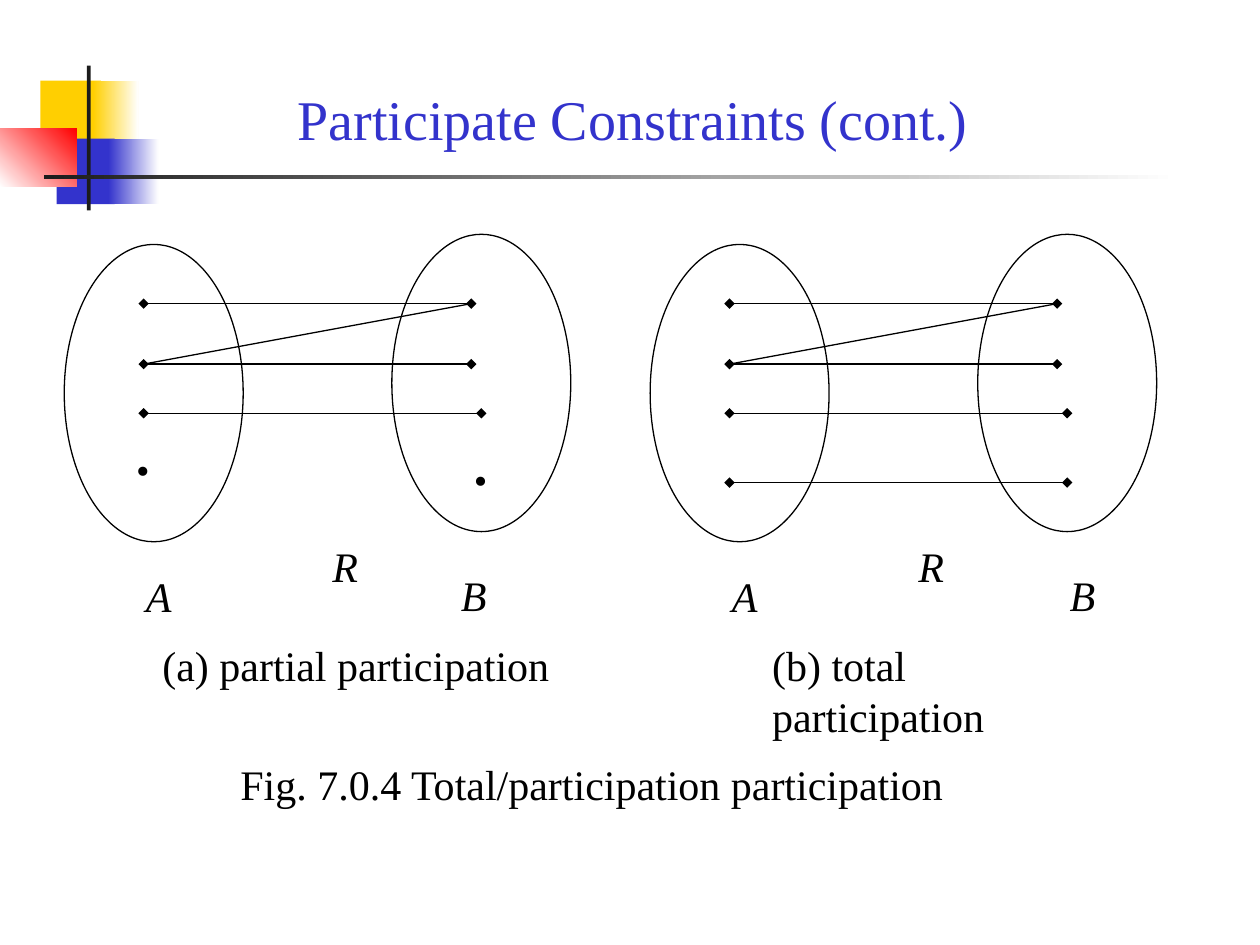
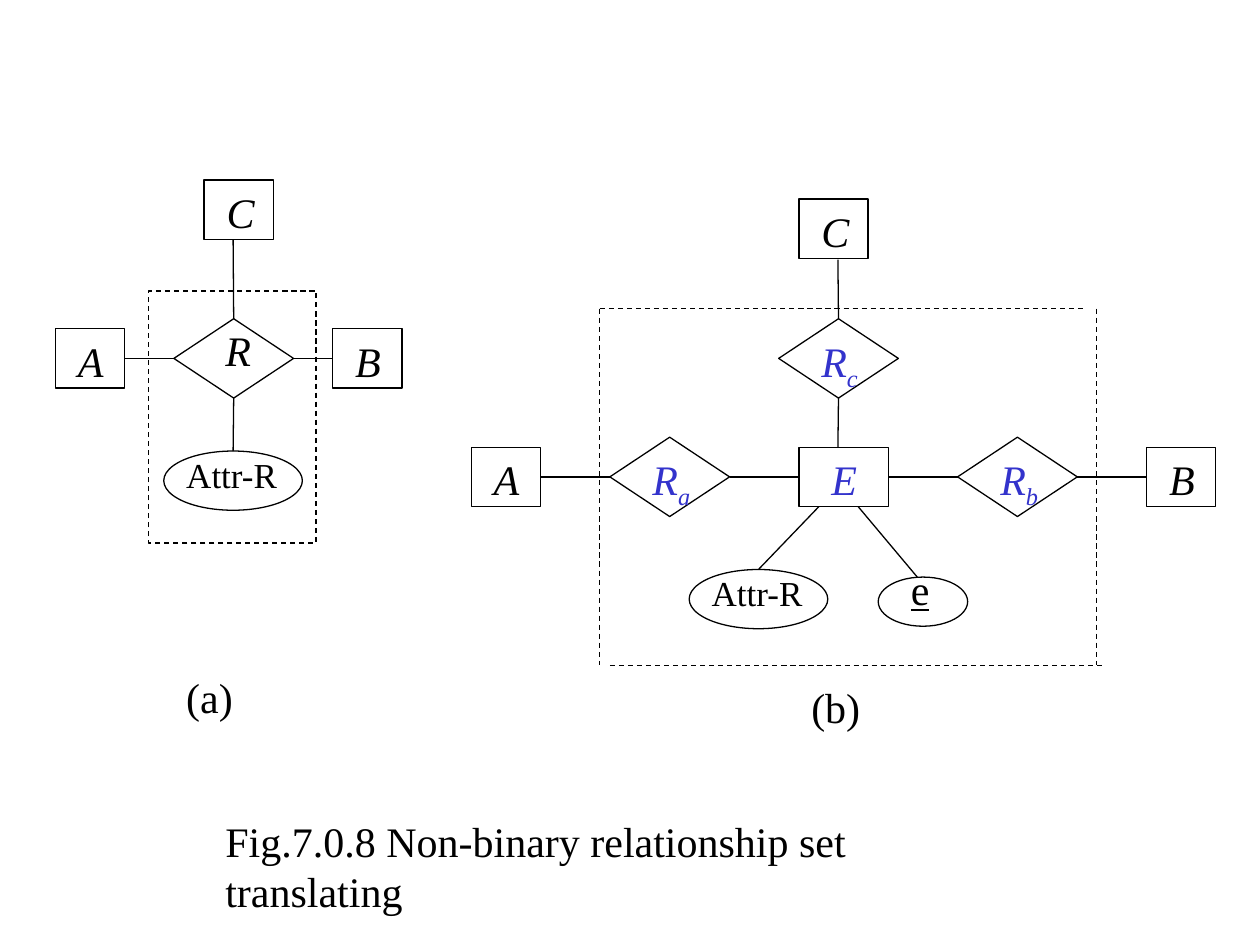
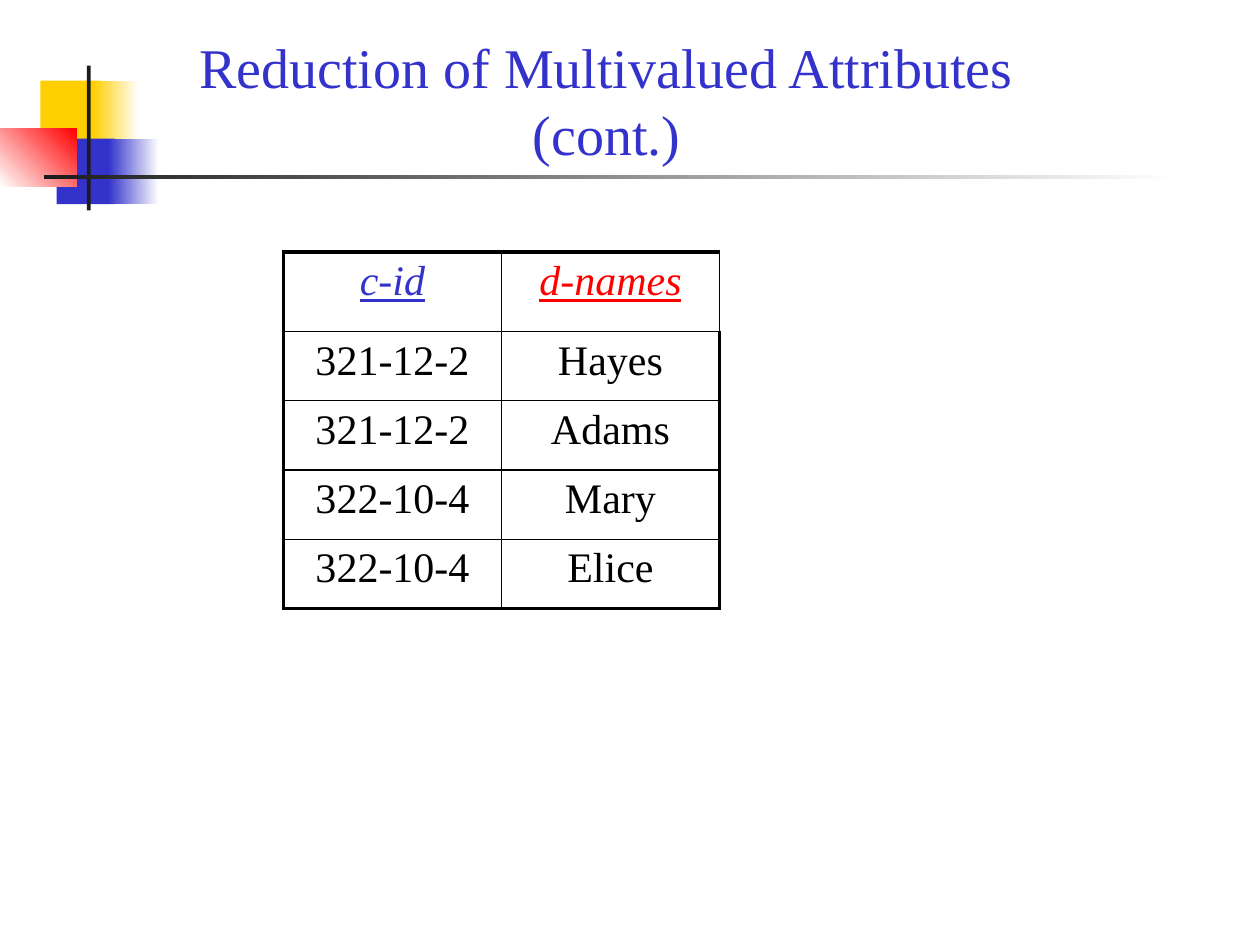
from lxml import etree
from pptx import Presentation
from pptx import util as u
from pptx.dml.color import RGBColor
from pptx.enum import dml, shapes, text
from pptx.oxml.ns import qn

FONT = "Times New Roman"
BLACK = RGBColor(0x00, 0x00, 0x00)
WHITE = RGBColor(0xFF, 0xFF, 0xFF)
BLUE = RGBColor(0x33, 0x33, 0xCC)
RED = RGBColor(0xFF, 0x00, 0x00)
GOLD = RGBColor(0xFF, 0xCF, 0x01)
CHARCOAL = RGBColor(0x1C, 0x1C, 0x1C)
RECT = shapes.MSO_SHAPE.RECTANGLE
OVAL = shapes.MSO_SHAPE.OVAL
DIAMOND = shapes.MSO_SHAPE.DIAMOND
CENTER = text.PP_ALIGN.CENTER
TOP, LEFT, BOTTOM, RIGHT = range(4)


def inches(*values):
    """Convert numbers to a list of lengths."""
    return [u.Inches(v) for v in values]


def write(p, words, size=24, color=BLACK, bold=False, italic=False, underline=False, sub=False):
    """Add one formatted run to a paragraph."""
    r = p.add_run()
    r.text = words
    f = r.font
    f.name, f.size, f.color.rgb = FONT, u.Pt(size), color
    f.bold, f.italic, f.underline = bold, italic, underline
    if sub:
        r._r.get_or_add_rPr().set("baseline", "-25000")


def label(slide, words, x, y, w, h=0.5, sub="", align=None, anchor=text.MSO_ANCHOR.TOP,
          right=0, **style):
    """Place a text box, with an optional subscript after its words."""
    tf = slide.shapes.add_textbox(*inches(x, y, w, h)).text_frame
    tf.word_wrap = True
    tf.vertical_anchor = anchor
    tf.margin_right = u.Inches(right)
    p = tf.paragraphs[0]
    p.alignment = align
    write(p, words, **style)
    if sub:
        write(p, sub, sub=True, **style)


def title(slide, words, x, y, w, h, **style):
    """Place a slide title."""
    label(slide, words, x, y, w, h, align=CENTER, right=0.1, size=32, color=BLUE, **style)


def outline(slide, kind, x, y, w, h, dash=False):
    """Draw an unfilled shape with a thin black line."""
    sp = slide.shapes.add_shape(kind, *inches(x, y, w, h))
    sp.shadow.inherit = False
    sp.fill.background()
    sp.line.color.rgb, sp.line.width = BLACK, u.Pt(0.75)
    if dash:
        sp.line.dash_style = dml.MSO_LINE.DASH
    return sp


def line(slide, x1, y1, x2, y2, dash=False, diamonds=False):
    """Draw a thin straight line, optionally dashed or with diamond ends."""
    con = slide.shapes.add_connector(shapes.MSO_CONNECTOR.STRAIGHT, *inches(x1, y1, x2, y2))
    con.line.color.rgb, con.line.width = BLACK, u.Pt(0.75)
    if dash:
        con.line.dash_style = dml.MSO_LINE.DASH
    props = con.element.spPr
    if diamonds:
        for tag in ("a:headEnd", "a:tailEnd"):
            etree.SubElement(props.find(qn("a:ln")), qn(tag), type="diamond")
    etree.SubElement(props, qn("a:effectLst"))
    return con


def join(slide, a, a_side, b, b_side):
    """Connect the sides of two shapes."""
    con = line(slide, 0, 0, 0, 0)
    con.begin_connect(a, a_side)
    con.end_connect(b, b_side)


def block(slide, x, y, w, h, color, end=None, angle=0):
    """Draw a borderless block in one colour or a gradient."""
    sp = slide.shapes.add_shape(RECT, *inches(x, y, w, h))
    sp.shadow.inherit = False
    sp.line.fill.background()
    if end is None:
        sp.fill.solid()
        sp.fill.fore_color.rgb = color
        return
    sp.fill.gradient()
    sp.fill.gradient_angle = angle
    for stop, stop_color in zip(sp.fill.gradient_stops, (color, end)):
        stop.color.rgb = stop_color


def decorate(slide):
    """Draw the coloured blocks and rule beside a title."""
    block(slide, 0.32, 0.64, 0.48, 0.52, GOLD)
    block(slide, 0.74, 0.64, 0.36, 0.52, GOLD, WHITE)
    block(slide, 0.45, 1.1, 0.46, 0.52, BLUE)
    block(slide, 0.86, 1.1, 0.4, 0.52, BLUE, WHITE)
    block(slide, 0, 1.02, 0.61, 0.46, WHITE, RED, 45)
    block(slide, 0.69, 0.52, 0.03, 1.15, CHARCOAL)
    block(slide, 0.35, 1.39, 9, 0.03, CHARCOAL, WHITE)


def mapping(slide, x, b_x, total):
    """Draw sets A and B and the links of relationship R."""
    outline(slide, OVAL, x + 0.51, 1.94, 1.42, 2.36)
    outline(slide, OVAL, x + 3.11, 1.86, 1.42, 2.36)
    for name, left, top in (("A", x + 1.06, 4.48), ("B", b_x, 4.47), ("R", x + 2.54, 4.24)):
        label(slide, name, left, top, 0.4, italic=True)
    links = [(2.41, 3.74), (2.89, 3.74), (3.28, 3.82)]
    if total:
        links.append((3.83, 3.82))
    for y, end in links:
        line(slide, x + 1.14, y, x + end, y, diamonds=True)
    line(slide, x + 1.14, 2.89, x + 3.74, 2.41)
    if not total:
        for left, top in ((0.98, 3.28), (3.66, 3.36)):
            label(slide, ".", x + left, top, 0.31, 0.63, size=32, bold=True)


def entity(slide, name, x, y, w=0.55, dx=0.08, color=BLACK):
    """Draw a named entity rectangle."""
    sp = outline(slide, RECT, x, y, w, 0.47)
    label(slide, name, x + dx, y, 0.42, italic=True, color=color)
    return sp


def relation(slide, x, y, sub="", dx=0.24, dy=0.08, color=BLUE):
    """Draw a relationship diamond named R."""
    sp = outline(slide, DIAMOND, x, y, 0.95, 0.63)
    label(slide, "R", x + dx, y + dy, 0.52, sub=sub, italic=True, color=color)
    return sp


def attribute(slide, x, y):
    """Draw the attribute ellipse of R."""
    sp = outline(slide, OVAL, x, y, 1.1, 0.47)
    label(slide, "Attr-R", x + 0.08, y - 0.03, 0.93, 0.43, size=20)
    return sp


def ternary(slide):
    """Draw the ternary relationship of part (a)."""
    r = relation(slide, 1.38, 2.53, dx=0.31, dy=0, color=BLACK)
    a = entity(slide, "A", 0.44, 2.61)
    b = entity(slide, "B", 2.64, 2.61)
    entity(slide, "C", 1.62, 1.43)
    join(slide, a, RIGHT, r, LEFT)
    join(slide, r, RIGHT, b, LEFT)
    line(slide, 1.85, 1.9, 1.85, 2.53).end_connect(r, TOP)
    join(slide, r, BOTTOM, attribute(slide, 1.3, 3.58), TOP)
    outline(slide, RECT, 1.18, 2.31, 1.33, 2, dash=True)
    label(slide, "(a)", 1.38, 5.28, 0.57)


def translated(slide):
    """Draw the binary relationships of part (b)."""
    a = entity(slide, "A", 3.74, 3.55)
    ra = relation(slide, 4.84, 3.47, "a")
    e = entity(slide, "E", 6.34, 3.55, w=0.71, dx=0.16, color=BLUE)
    rb = relation(slide, 7.6, 3.47, "b")
    b = entity(slide, "B", 9.1, 3.55)
    row = [a, ra, e, rb, b]
    for near, far in zip(row, row[1:]):
        join(slide, near, RIGHT, far, LEFT)
    rc = relation(slide, 6.18, 2.53, "c")
    entity(slide, "C", 6.34, 1.58)
    line(slide, 6.65, 2.06, 6.65, 2.53).end_connect(rc, TOP)
    line(slide, 6.65, 3.16, 6.65, 3.55).begin_connect(rc, BOTTOM)
    line(slide, 6.5, 4.02, 6.02, 4.52).end_connect(attribute(slide, 5.47, 4.52), TOP)
    outline(slide, OVAL, 6.97, 4.58, 0.71, 0.39)
    label(slide, "e", 7.13, 4.42, 0.35, underline=True)
    line(slide, 6.81, 4.02, 7.28, 4.58)
    for ends in ((4.76, 2.45, 8.62, 2.45), (4.76, 2.45, 4.76, 5.28),
                 (4.84, 5.28, 8.78, 5.28), (8.7, 2.45, 8.7, 5.28)):
        line(slide, *ends, dash=True)
    label(slide, "(b)", 6.34, 5.36, 0.59)


def border(cell, **widths):
    """Set the left, right, top and bottom border widths of a cell."""
    props = cell._tc.get_or_add_tcPr()
    for side in "LRTB":
        ln = etree.SubElement(props, qn("a:ln" + side), w=str(u.Pt(widths[side])))
        fill = etree.SubElement(ln, qn("a:solidFill"))
        etree.SubElement(fill, qn("a:srgbClr"), val=str(BLACK))


def name_table(slide, rows):
    """Draw the table of customer ids and names."""
    frame = slide.shapes.add_table(len(rows), 2, *inches(2.25, 2, 3.47, 2.83))
    table = frame.table
    table.first_row = table.horz_banding = False
    for column in table.columns:
        column.width = u.Inches(1.73)
    thick, thin = 2.25, 1
    last = len(rows) - 1
    for i, row in enumerate(rows):
        table.rows[i].height = u.Inches(0.55 if i else 0.63)
        for j, words in enumerate(row):
            cell = table.cell(i, j)
            border(cell, L=thin if j else thick, R=thick if i and j else thin,
                   T=thin if i else thick, B=thick if i == last else thin)
            cell.fill.background()
            p = cell.text_frame.paragraphs[0]
            p.alignment = CENTER
            color = BLACK if i else (BLUE, RED)[j]
            write(p, words, color=color, italic=i == 0, underline=i == 0)


def main():
    """Build and save the three slides."""
    prs = Presentation()
    prs.slide_width, prs.slide_height = inches(10, 7.5)
    participation, translation, reduction = [
        prs.slides.add_slide(prs.slide_layouts[6]) for _ in range(3)]

    decorate(participation)
    title(participation, "Participate Constraints (cont.)", 0.9, 0, 8.25, 1.25,
          anchor=text.MSO_ANCHOR.BOTTOM)
    mapping(participation, 0, 3.56, total=False)
    mapping(participation, 4.65, 8.39, total=True)
    label(participation, "(a) partial participation", 1.19, 5.03, 3.35)
    label(participation, "(b) total participation", 6.03, 5.03, 2.8)
    label(participation, "Fig. 7.0.4 Total/participation participation", 1.81, 5.97, 5.8)

    ternary(translation)
    translated(translation)
    label(translation, "Fig.7.0.8 Non-binary relationship set translating", 1.69, 6.42, 6.3)

    decorate(reduction)
    title(reduction, "Reduction of Multivalued Attributes (cont.)", 0.9, 0.21, 7.83, 0.64)
    name_table(reduction, [("c-id", "d-names"), ("321-12-2", "Hayes"), ("321-12-2", "Adams"),
                           ("322-10-4", "Mary"), ("322-10-4", "Elice")])
    prs.save("out.pptx")


if __name__ == "__main__":
    main()
